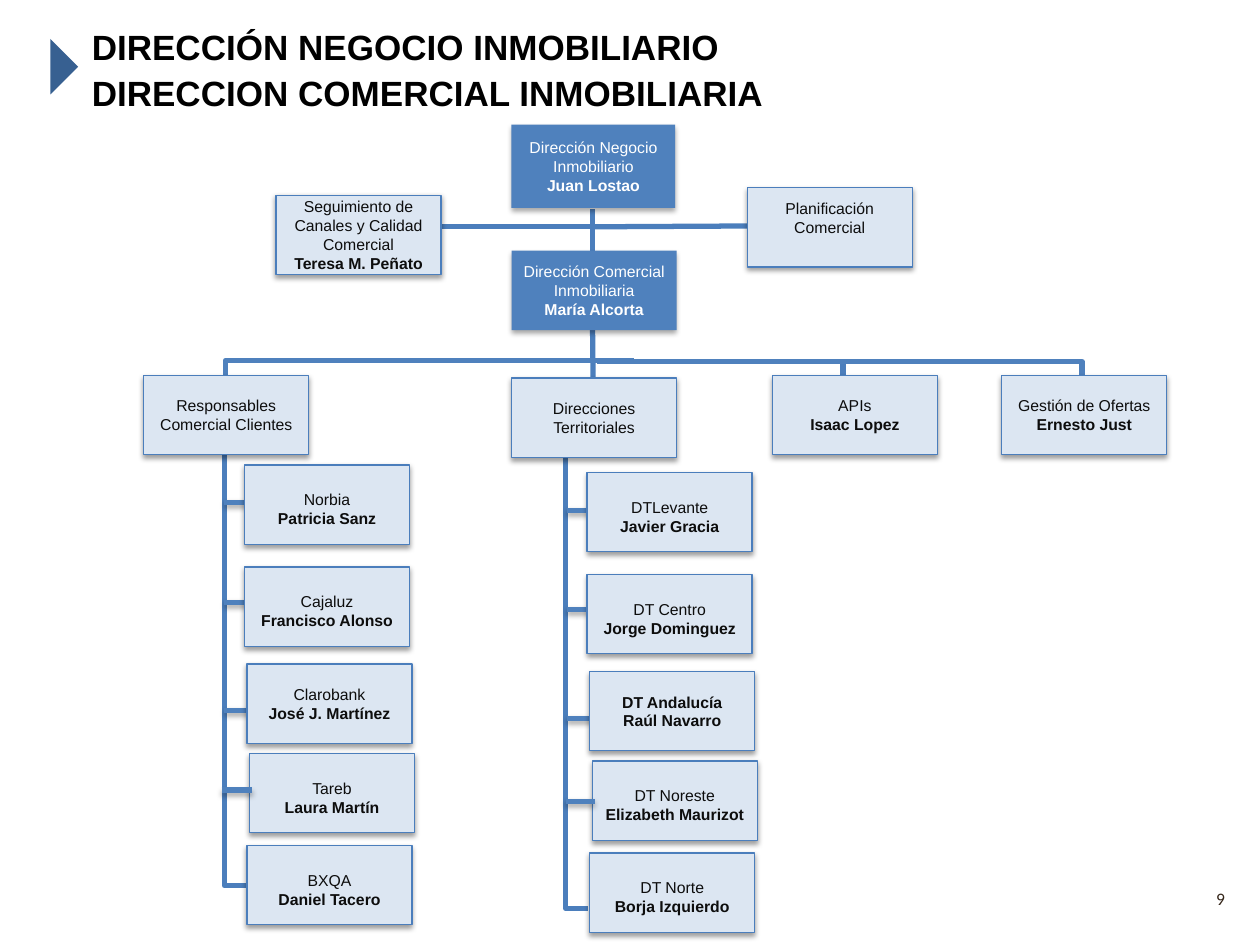
from lxml.etree import SubElement
from pptx import Presentation
from pptx.dml.color import RGBColor
from pptx.enum.shapes import MSO_CONNECTOR, MSO_SHAPE
from pptx.enum.text import MSO_ANCHOR, PP_ALIGN
from pptx.oxml.ns import qn
from pptx.util import Inches, Pt

THEME = {
    "marker": "376091", "trunk": "4B7EBC", "branch": "4F81BD",
    "pale": "DCE6F2", "ink": "0D0D0D", "white": "FFFFFF",
    "black": "000000", "number": "35261A",
    "title_size": 20, "box_size": 9, "number_size": 10,
    "line_width": 3, "border_width": 0.75,
}
PALE_SHADOW = {"alpha": 38, "distance": 1.6}
DARK_SHADOW = {"alpha": 35, "distance": 1.8}
CENTER, MIDDLE = PP_ALIGN.CENTER, MSO_ANCHOR.MIDDLE

card = {"fill": "pale", "border": "trunk", "shadow": PALE_SHADOW, "color": "ink",
        "size": "box_size", "font": "Arial", "align": CENTER, "spacing": 1.0,
        "anchor": MIDDLE, "margins": (0, 0.05, 0, 0.05)}
low_card = {**card, "anchor": MSO_ANCHOR.TOP, "margins": (0, 0.2, 0, 0.05)}
high_card = {**card, "margins": (0, 0.05, 0, 0.2)}
head = {**card, "fill": "branch", "border": None, "shadow": DARK_SHADOW,
        "color": "white", "margins": (0.04, 0.05, 0.04, 0.05)}
title = {**card, "fill": None, "color": "black", "size": "title_size",
         "align": PP_ALIGN.LEFT, "spacing": 1.1, "margins": (0.1, 0.05, 0.1, 0.05)}
number = {**title, "color": "number", "size": "number_size", "font": "Calibri",
          "align": PP_ALIGN.RIGHT, "spacing": 1.0}


def set_effect(shape, shadow):
    properties = shape._element.spPr
    for old in properties.findall(qn("a:effectLst")):
        properties.remove(old)
    effects = SubElement(properties, qn("a:effectLst"))
    if shadow:
        outer = SubElement(effects, qn("a:outerShdw"), blurRad=str(Pt(3.1)),
                           dist=str(Pt(shadow["distance"])), dir="5400000", rotWithShape="0")
        color = SubElement(outer, qn("a:srgbClr"), val=THEME["black"])
        SubElement(color, qn("a:alpha"), val=str(shadow["alpha"] * 1000))


def add_line(start, end, color, shadow=None, kind=MSO_CONNECTOR.STRAIGHT):
    line = slide.shapes.add_connector(kind, *map(Inches, start + end))
    line.line.color.rgb = RGBColor.from_string(THEME[color])
    line.line.width = Pt(THEME["line_width"])
    set_effect(line, shadow)
    return line


presentation = Presentation()
presentation.slide_width, presentation.slide_height = Inches(10), Inches(7.5)
slide = presentation.slides.add_slide(presentation.slide_layouts[6])

marker = slide.shapes.add_shape(MSO_SHAPE.ISOSCELES_TRIANGLE, *map(Inches, (0.29, 0.42, 0.44, 0.22)))
marker.rotation = 90
marker.fill.solid()
marker.fill.fore_color.rgb = RGBColor.from_string(THEME["marker"])
marker.line.fill.background()
set_effect(marker, None)

for start, end in [
    ((6.63, 1.79), (4.71, 1.8)),
    ((4.7, 2.33), (4.71, 3.3)),
    ((6.69, 2.85), (6.69, 3.29)),
    ((4.7, 1.66), (4.7, 2.82)),
    ((3.47, 1.8), (4.73, 1.8)),
]:
    add_line(start, end, "trunk")

for start, end, color, rotation, preset, bend in [
    ((6.47, 5.23), (2.69, 5.41), "trunk", 270, "bentConnector2", None),
    ((3.76, 5.05), (-0.02, 5.23), "trunk", 270, "bentConnector2", None),
    ((1.79, 3.18), (5.03, 2.86), "branch", 180, "bentConnector2", None),
    ((4.74, 2.87), (8.6, 3.48), "branch", 0, "bentConnector3", 99700),
]:
    elbow = add_line(start, end, color, kind=MSO_CONNECTOR.ELBOW)
    properties = elbow._element.spPr
    properties.find(qn("a:xfrm")).set("rot", str(rotation * 60000))
    geometry = properties.find(qn("a:prstGeom"))
    geometry.set("prst", preset)
    if bend:
        SubElement(geometry.find(qn("a:avLst")), qn("a:gd"), name="adj1", fmla=f"val {bend}")

boxes = [
    (title, (0.63, 0.13, 8.95, 0.81), [],
     ["DIRECCIÓN NEGOCIO INMOBILIARIO\vDIRECCION COMERCIAL INMOBILIARIA"]),
    (number, (7.49, 6.93, 2.33, 0.4), ["9"], []),
    (head, (4.06, 0.99, 1.3, 0.66), ["Dirección Negocio", "Inmobiliario"], ["Juan Lostao"]),
    (head, (4.06, 1.99), ["Dirección Comercial Inmobiliaria"], ["María Alcorta"]),
    (card, (2.19, 1.55), ["Seguimiento de Canales y Calidad Comercial"], ["Teresa M. Peñato"]),
    (high_card, (5.93, 1.49), ["Planificación", "Comercial"], []),
    (card, (1.14, 2.98), ["Responsables Comercial Clientes"], []),
    (card, (4.06, 3), ["Direcciones Territoriales"], []),
    (card, (6.13, 2.98), ["APIs"], ["Isaac Lopez"]),
    (card, (7.95, 2.98), ["Gestión de Ofertas"], ["Ernesto Just"]),
]
slots = [(low_card, 1.94, 3.69), (low_card, 1.94, 4.5), (card, 1.96, 5.27),
         (low_card, 1.98, 5.98), (low_card, 1.96, 6.71)]
ticks = [(1.99, 3.99), (2.01, 4.78), (2.01, 5.64)]
clients = [(["Norbia"], ["Patricia Sanz"]), (["Cajaluz"], ["Francisco Alonso"]),
           (["Clarobank"], ["José J. Martínez"]), (["Tareb"], ["Laura Martín"]),
           (["BXQA"], ["Daniel Tacero"])]
territories = [(["DTLevante"], ["Javier Gracia"]), (["DT Centro"], ["Jorge Dominguez"]),
               ([], ["DT Andalucía", "Raúl Navarro"]), (["DT Noreste"], ["Elizabeth Maurizot"]),
               (["DT Norte"], ["Borja Izquierdo"])]
for shift_x, shift_y, members in [(0, 0, clients), (2.72, 0.06, territories)]:
    for end_x, y in ticks:
        add_line((1.78 + shift_x, y + shift_y), (end_x + shift_x, y + shift_y), "branch", DARK_SHADOW)
    for (style, x, y), (roles, names) in zip(slots, members):
        boxes.append((style, (x + shift_x, y + shift_y), roles, names))

for style, place, roles, names in boxes:
    frame = [Inches(length) for length in (place + (1.31, 0.63))[:4]]
    if style["fill"]:
        shape = slide.shapes.add_shape(MSO_SHAPE.RECTANGLE, *frame)
        shape.fill.solid()
        shape.fill.fore_color.rgb = RGBColor.from_string(THEME[style["fill"]])
        if style["border"]:
            shape.line.color.rgb = RGBColor.from_string(THEME[style["border"]])
            shape.line.width = Pt(THEME["border_width"])
        else:
            shape.line.fill.background()
        set_effect(shape, style["shadow"])
    else:
        shape = slide.shapes.add_textbox(*frame)
    text_frame = shape.text_frame
    sides = ("margin_left", "margin_top", "margin_right", "margin_bottom")
    layout = {"word_wrap": True, "vertical_anchor": style["anchor"],
              **dict(zip(sides, map(Inches, style["margins"])))}
    for name, value in layout.items():
        setattr(text_frame, name, value)
    lines = [(text, False) for text in roles] + [(text, True) for text in names]
    for index, (text, bold) in enumerate(lines):
        paragraph = text_frame.add_paragraph() if index else text_frame.paragraphs[0]
        paragraph.text = text
        paragraph.alignment = style["align"]
        paragraph.line_spacing = style["spacing"]
        for run in paragraph.runs:
            run.font.color.rgb = RGBColor.from_string(THEME[style["color"]])
            for name, value in {"name": style["font"], "size": Pt(THEME[style["size"]]),
                                "bold": bold}.items():
                setattr(run.font, name, value)

for start_x, end_x, y in [(1.76, 2, 6.27), (4.49, 4.72, 6.36)]:
    add_line((start_x, y), (end_x, y), "branch", DARK_SHADOW)

presentation.save("out.pptx")
